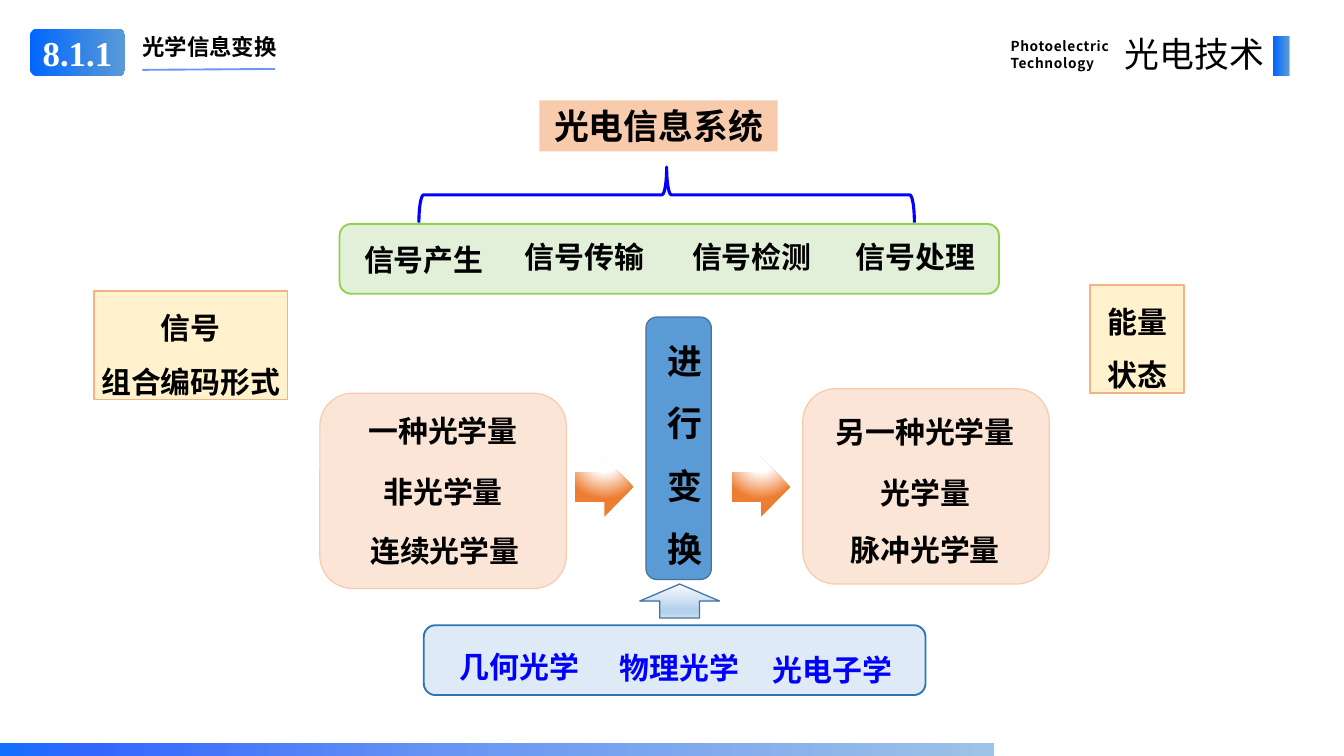
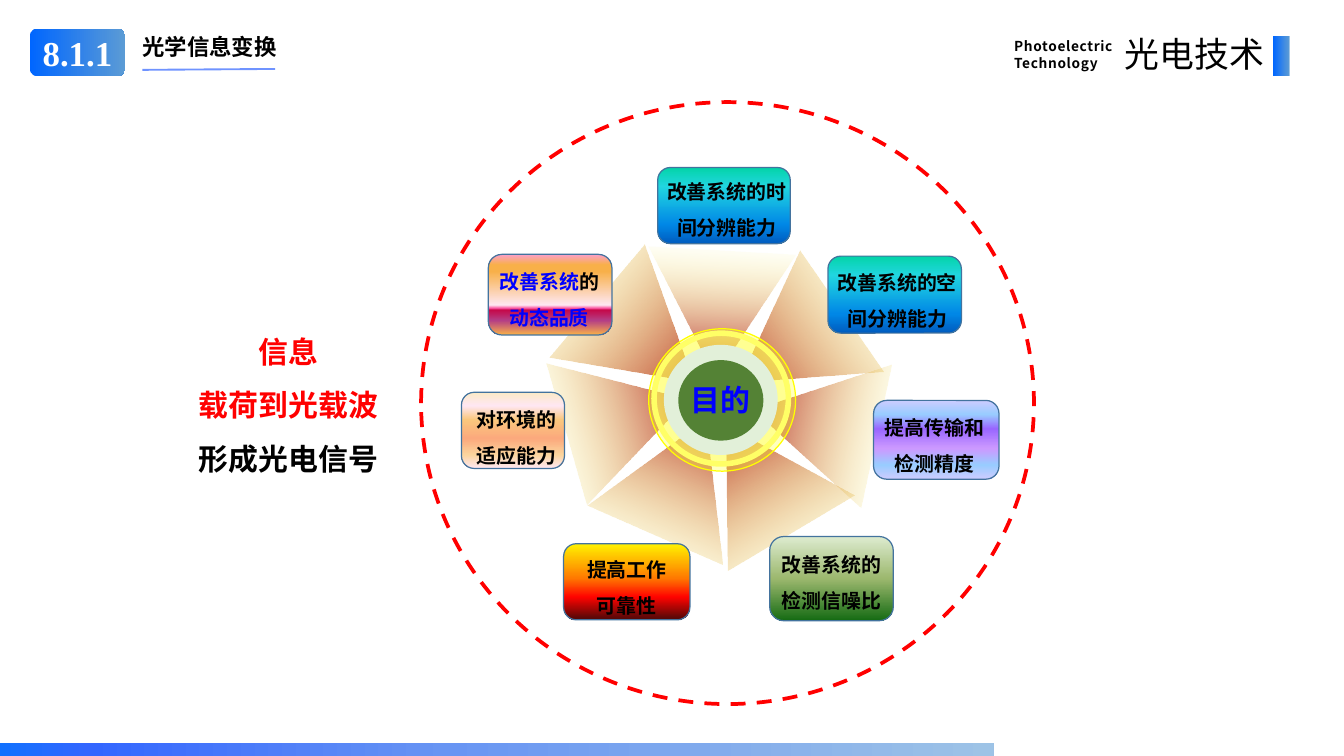
import lxml.etree
import pptx
import pptx.dml.color
import pptx.enum.dml
import pptx.enum.shapes
import pptx.enum.text
import pptx.oxml.ns
import pptx.util

Inches = pptx.util.Inches
Pt = pptx.util.Pt
RGB = pptx.dml.color.RGBColor.from_string
KIND = pptx.enum.shapes.MSO_SHAPE
ALIGN = pptx.enum.text.PP_ALIGN
ANCHOR = pptx.enum.text.MSO_ANCHOR
qn = pptx.oxml.ns.qn

BLACK = RGB("000000")
WHITE = RGB("FFFFFF")
BLUE = RGB("0000FF")
RED = RGB("FF0000")
AZURE = RGB("3366FF")
STEEL = RGB("43739E")
SKY = RGB("5B9BD5")
PALE = RGB("DEEBF7")
NAVY = RGB("2E75B6")
MINT = RGB("E2F0D9")
LIME = RGB("92D050")
GREEN = RGB("548235")
PEACH = RGB("FBE5D6")
CORAL = RGB("F8CBAD")
CREAM = RGB("FFF2CC")
AMBER = RGB("F4B183")
YELLOW = RGB("FFFF00")
LEMON = RGB("FFFF66")
ORANGE = RGB("ED7D31")
WINE = RGB("A50021")


def stops(text):
    pairs = [item.split(":") for item in text.split()]
    return [(int(place), RGB(tone)) for place, tone in pairs]


BADGE = stops("0:0066FF 100:5B9BD5")
BAND = stops("0:1271FE 9:3366FF 45:6895F3 100:9DC3E6")
LIFT = stops("0:F7FAFD 74:B5D2EC 83:B5D2EC 100:CEE1F2")
GLOW = [(0, WHITE), (35, WHITE), (100, ORANGE)]
RAY = [(0, WINE), (100, LEMON, 0)]
OCEAN = stops("0:03D4A8 25:21D6E0 75:0087E6 100:005CBF")
SUNSET = stops("0:FC9FCB 13:F8B049 21:F8B049 63:FEE7F2 67:F952A0 69:C50849 82:B43E85 100:F8B049")
VIOLET = stops("0:CCCCFF 18:99CCFF 36:9966FF 61:CC99FF 82:99CCFF 100:CCCCFF")
DAWN = stops("0:FBEAC7 18:FEE7F2 36:FAC77D 61:FBA97D 82:FBD49C 100:FEE7F2")
FIRE = stops("0:FFF200 45:FF7A00 70:FF0300 100:4D0808")
MOSS = stops("0:DDEBCF 50:9CB86E 100:156B13")


def node(base, tag, **attrs):
    return lxml.etree.SubElement(base, qn("a:" + tag), {key: str(val) for key, val in attrs.items()})


def fade(base, alpha):
    node(base.find(".//" + qn("a:srgbClr")), "alpha", val=alpha * 1000)


def blend(shape, marks, angle=0, round_to=None):
    shape.fill.background()
    props = shape._element.spPr
    grad = lxml.etree.Element(qn("a:gradFill"), rotWithShape="1")
    items = node(grad, "gsLst")
    for place, tone, *alpha in marks:
        stop = node(items, "gs", pos=place * 1000)
        node(stop, "srgbClr", val=tone)
        if alpha:
            fade(stop, alpha[0])
    if round_to:
        sides = {side: val * 1000 for side, val in zip("ltrb", round_to)}
        node(node(grad, "path", path="circle"), "fillToRect", **sides)
    else:
        node(grad, "lin", ang=angle * 60000, scaled=0)
    props.replace(props.find(qn("a:noFill")), grad)


def write(shape, text, size=24, color=BLACK, bold=True, face="Noto Sans CJK SC",
          align=ALIGN.CENTER, anchor=ANCHOR.TOP, pad=None, space=None, track=None, grow=True):
    frame = shape.text_frame
    frame.word_wrap = True
    frame.vertical_anchor = anchor
    if grow:
        frame.auto_size = pptx.enum.text.MSO_AUTO_SIZE.SHAPE_TO_FIT_TEXT
    if pad is not None:
        frame.margin_left = frame.margin_right = Inches(pad)
        frame.margin_top = frame.margin_bottom = Inches(pad)
    rows = [text] if isinstance(text, str) else text
    for index, row in enumerate(rows):
        para = frame.add_paragraph() if index else frame.paragraphs[0]
        para.alignment = align
        if space:
            para.line_spacing = space
        for part, tone in ([(row, color)] if isinstance(row, str) else row):
            run = para.add_run()
            run.text = part
            font = run.font
            font.size, font.bold, font.name = Pt(size), bold, face
            font.color.rgb = tone
            props = run._r.get_or_add_rPr()
            node(props, "ea", typeface=face)
            if track:
                props.set("spc", str(int(track * 100)))


class Deck:
    def __init__(self):
        self.show = pptx.Presentation()
        self.show.slide_width = Inches(15)
        self.show.slide_height = Inches(8.44)

    def page(self, tag_left):
        slide = self.show.slides.add_slide(self.show.slide_layouts[6])
        self.root = self.pool = slide.shapes
        self.label((1.49, 0.32, 1.82, 0.4), "光学信息变换", size=18, align=ALIGN.LEFT)
        self.label((tag_left, 0.36, 12.54 - tag_left, 0.49), ["Photoelectric", "Technology"],
                   size=11, align=ALIGN.LEFT, space=Pt(14), track=0.5)
        self.shape((14.21, 0.4, 0.18, 0.45), fill=BADGE)
        badge = self.shape((0.33, 0.32, 1.07, 0.53), KIND.ROUNDED_RECTANGLE, BADGE)
        write(badge, "8.1.1", size=28, color=WHITE, face="Times New Roman",
              anchor=ANCHOR.MIDDLE, grow=False)
        self.rule((1.59, 0.78), (3.07, 0.77), AZURE, 1.5, 70)
        self.label((12.31, 0.32, 1.9, 0.57), "光电技术", size=28, bold=False,
                   align=ALIGN.RIGHT, track=0.2)
        self.shape((0, 8.3, 11.09, 0.14), fill=BAND)

    def group(self):
        self.pool = self.root.add_group_shape().shapes

    def ungroup(self):
        self.pool = self.root

    def shape(self, box, kind=KIND.RECTANGLE, fill=None, line=None, width=1.0,
              angle=0, turn=0, alpha=None, round_to=None):
        shape = self.pool.add_shape(kind, *map(Inches, box))
        shape.shadow.inherit = False
        shape.rotation = turn
        if isinstance(fill, list):
            blend(shape, fill, angle, round_to)
        elif fill is None:
            shape.fill.background()
        else:
            shape.fill.solid()
            shape.fill.fore_color.rgb = fill
            if alpha is not None:
                fade(shape._element.spPr, alpha)
        if line is None:
            shape.line.fill.background()
        else:
            shape.line.color.rgb = line
            shape.line.width = Pt(width)
        return shape

    def label(self, box, text, **style):
        write(self.pool.add_textbox(*map(Inches, box)), text, **style)

    def block(self, box, text, fill, line=None, width=1.0, **style):
        write(self.shape(box, fill=fill, line=line, width=width), text, **style)

    def rule(self, start, end, color, width, alpha):
        line = self.pool.add_connector(pptx.enum.shapes.MSO_CONNECTOR.STRAIGHT,
                                       *map(Inches, start + end))
        line.line.color.rgb = color
        line.line.width = Pt(width)
        props = line._element.spPr
        fade(props, alpha)
        node(props, "effectLst")

    def card(self, box, fill, text_box, text):
        self.group()
        self.shape(box, KIND.ROUNDED_RECTANGLE, fill, STEEL, angle=90)
        self.label(text_box, text, size=16, pad=0, space=1.5)
        self.ungroup()


def system(deck):
    deck.page(11.18)
    for box, fill, line, width in [
        ((8.96, 4.34, 2.75, 2.18), PEACH, CORAL, 1),
        ((3.57, 4.39, 2.75, 2.18), PEACH, CORAL, 1),
        ((3.79, 2.5, 7.36, 0.78), MINT, LIME, 1.5),
        ((4.73, 6.98, 5.6, 0.78), PALE, NAVY, 1.5),
        ((7.21, 3.54, 0.73, 2.93), SKY, STEEL, 1),
    ]:
        deck.shape(box, KIND.ROUNDED_RECTANGLE, fill, line, width)
    deck.block((6.02, 1.12, 2.66, 0.57), "光电信息系统", CORAL, size=28)
    for left, top, width, text in [
        (3.93, 2.65, 1.6, "信号产生"), (5.74, 2.61, 1.56, "信号传输"),
        (7.59, 2.61, 1.6, "信号检测"), (9.4, 2.61, 1.63, "信号处理"),
    ]:
        deck.block((left, top, width, 0.5), text, MINT)
    for left, top, text in [
        (3.81, 4.56, "一种光学量"), (3.81, 5.24, "非光学量"), (3.83, 5.9, "连续光学量"),
        (9.19, 4.57, "另一种光学量"), (9.19, 5.25, "光学量"), (9.19, 5.89, "脉冲光学量"),
    ]:
        deck.block((left, top, 2.27, 0.5), text, PEACH)
    for box, text, pad in [
        ((5.07, 7.04, 1.46, 0.61), "几何光学", 0),
        ((6.88, 7.09, 1.41, 0.53), "物理光学", 0),
        ((8.52, 7.05, 1.54, 0.64), "光电子学", None),
    ]:
        deck.block(box, text, PALE, color=BLUE, anchor=ANCHOR.MIDDLE, pad=pad, space=1.5)
    for box, text in [
        ((1.05, 3.25, 2.16, 1.21), ["信号", "组合编码形式"]),
        ((12.17, 3.18, 1.04, 1.21), ["能量", "状态"]),
    ]:
        deck.block(box, text, CREAM, AMBER, 1.5, anchor=ANCHOR.MIDDLE, pad=0, space=1.5)
    deck.shape((7.13, -0.59, 0.62, 5.53), KIND.LEFT_BRACE, line=BLUE, width=2.5, turn=90)
    deck.label((7.35, 3.49, 0.46, 2.93), "进行变换", size=28, anchor=ANCHOR.MIDDLE, space=1.5)
    deck.shape((7.14, 6.52, 0.89, 0.38), KIND.UP_ARROW, LIFT, STEEL, angle=90)
    for left in (6.42, 8.17):
        deck.shape((left, 5.11, 0.65, 0.66), KIND.RIGHT_ARROW, GLOW, round_to=(50, -80, 50, 180))


def purpose(deck):
    deck.page(11.22)
    for left, top, turn in [
        (8, 3.17, 235.3), (6.38, 3.11, 130), (7.2, 2.8, 183.2), (6.77, 4.63, 23.7),
        (6.18, 3.95, 74), (8.27, 4.02, 282.1), (7.65, 4.65, 329.1),
    ]:
        ray = deck.shape((left, top, 1.64, 1.4), KIND.ISOSCELES_TRIANGLE, RAY, angle=90, turn=turn)
        ray._element.spPr.xfrm.set("flipH", "1")
    deck.shape((7.24, 3.67, 1.64, 1.59), KIND.OVAL, YELLOW, YELLOW, alpha=25)
    deck.shape((7.3, 3.72, 1.5, 1.46), KIND.OVAL, LEMON, LEMON, 4.5, alpha=50)
    deck.shape((7.41, 3.85, 1.27, 1.23), KIND.OVAL, MINT)
    deck.group()
    deck.shape((7.57, 4.02, 0.95, 0.9), KIND.OVAL, GREEN)
    deck.label((7.56, 4.26, 0.96, 0.4), "目的", color=BLUE, pad=0)
    deck.ungroup()
    ring = deck.shape((4.7, 1.14, 6.84, 6.72), KIND.OVAL, line=RED, width=3)
    ring.line.dash_style = pptx.enum.dml.MSO_LINE.DASH
    for box, fill, text_box, text in [
        ((7.34, 1.87, 1.48, 0.85), OCEAN, (7.4, 1.87, 1.42, 0.81), "改善系统的时间分辨能力"),
        ((5.45, 2.84, 1.38, 0.9), SUNSET, (5.45, 2.88, 1.36, 0.76),
         [[("改善系统", BLUE), ("的", BLACK)], [("动态品质", BLUE)]]),
        ((9.75, 4.47, 1.4, 0.88), VIOLET, (9.77, 4.51, 1.32, 0.76), "提高传输和检测精度"),
        ((5.15, 4.38, 1.15, 0.85), DAWN, (5.15, 4.42, 1.23, 0.76), ["对环境的", "适应能力"]),
        ((6.29, 6.07, 1.41, 0.85), FIRE, (6.29, 6.09, 1.41, 0.76), ["提高工作", "可靠性"]),
        ((8.59, 5.99, 1.38, 0.94), MOSS, (8.68, 6.04, 1.2, 0.76), "改善系统的检测信噪比"),
        ((9.24, 2.86, 1.49, 0.86), OCEAN, (9.3, 2.89, 1.43, 0.81), "改善系统的空间分辨能力"),
    ]:
        deck.card(box, fill, text_box, text)
    deck.label((1.96, 3.46, 2.52, 1.92), ["信息", "载荷到光载波", [("形成光电信号", BLACK)]],
               color=RED, anchor=ANCHOR.MIDDLE, space=1.5)


def main():
    deck = Deck()
    system(deck)
    purpose(deck)
    deck.show.save("out.pptx")


if __name__ == "__main__":
    main()
